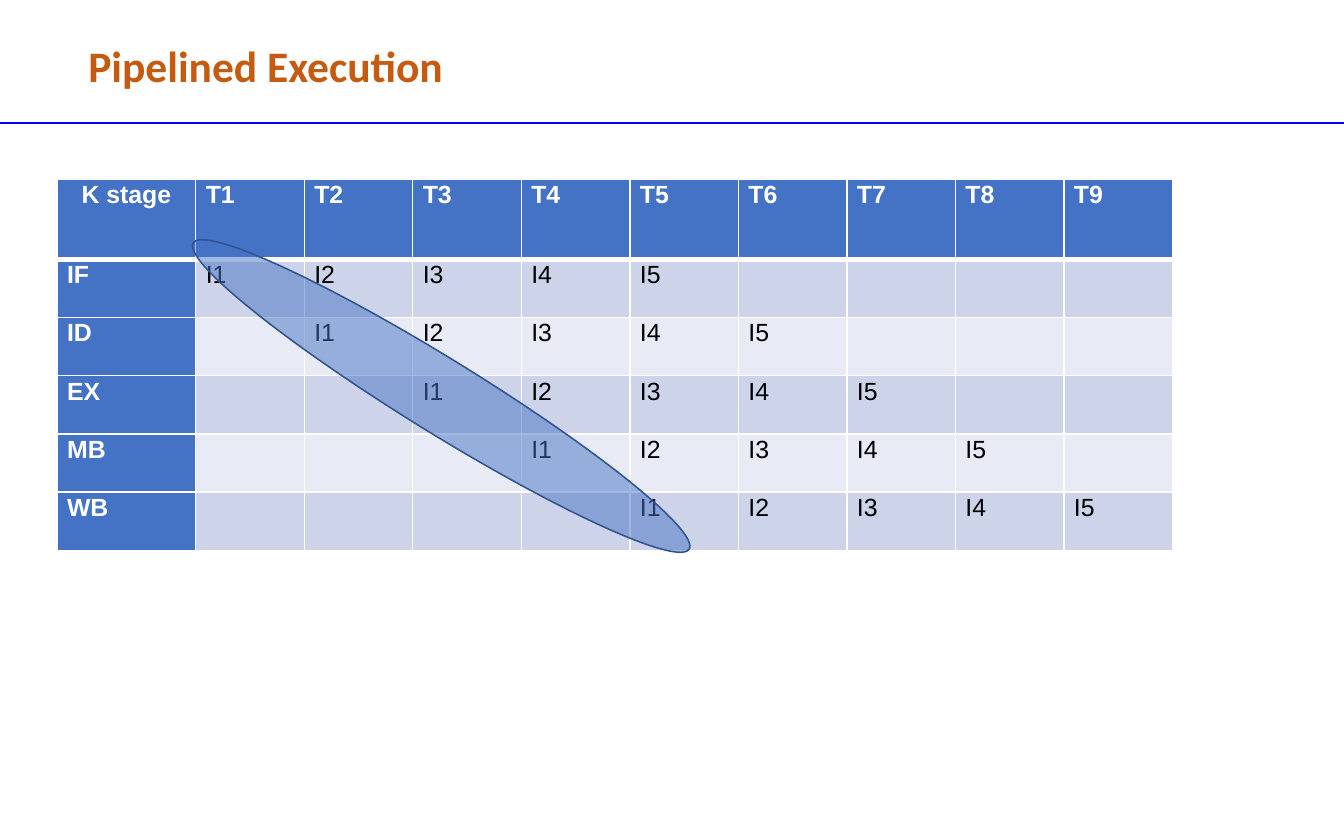
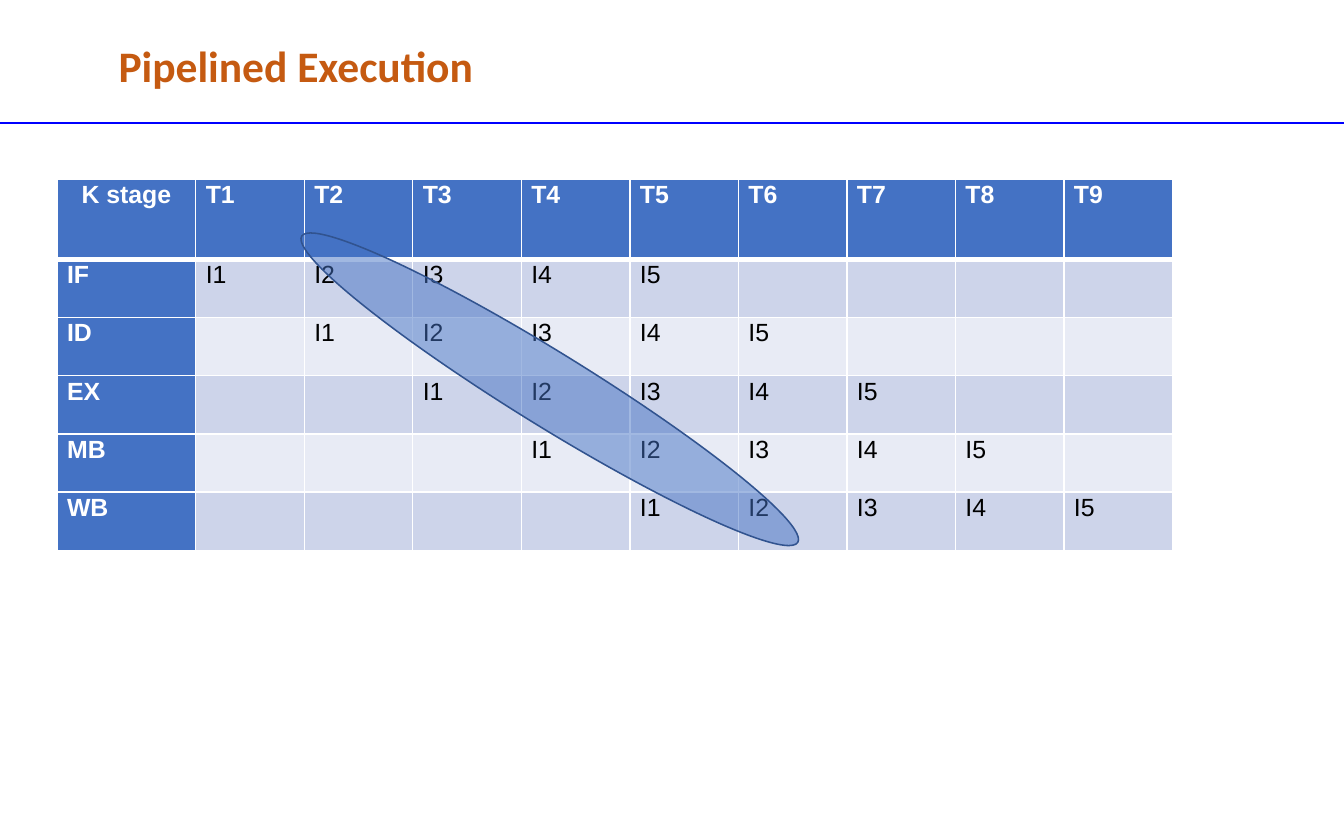
from dataclasses import dataclass

from lxml.etree import SubElement
from pptx import Presentation
from pptx.dml.color import RGBColor
from pptx.enum.shapes import MSO_CONNECTOR, MSO_SHAPE
from pptx.enum.text import MSO_ANCHOR, MSO_AUTO_SIZE, PP_ALIGN
from pptx.oxml.ns import qn
from pptx.util import Inches, Pt


@dataclass(frozen=True)
class Theme:
    title: str = "C55A11"
    rule: str = "0000FF"
    main: str = "4472C4"
    edge: str = "31538F"
    odd: str = "CDD4EA"
    even: str = "E8EBF5"
    white: str = "FFFFFF"
    black: str = "000000"
    head_font: str = "Calibri"
    cell_font: str = "Arial"
    head_size: int = 28
    cell_size: int = 16


THEME = Theme()
WIDTH, HEIGHT = 12.01, 7.5
LEFT, TOP = 0.51, 1.6
LABEL, COL = 1.24, 0.97
HEAD, ROW = 0.72, 0.52
STAGES = ["IF", "ID", "EX", "MB", "WB"]
TASKS = 5
TIMES = len(STAGES) + TASKS - 1


def style(font, face, size, color, bold):
    font.name = face
    font.size = Pt(size)
    font.bold = bold
    font.color.rgb = RGBColor.from_string(color)


def add_title(slide, text, left):
    title = slide.shapes.title
    title.left, title.top = Inches(left), Inches(0.04 * HEIGHT)
    title.width, title.height = Inches(0.34 * WIDTH), Inches(0.57)
    frame = title.text_frame
    frame.text = text
    frame.auto_size = MSO_AUTO_SIZE.NONE
    frame.vertical_anchor = MSO_ANCHOR.TOP
    para = frame.paragraphs[0]
    para.alignment = PP_ALIGN.LEFT
    style(para.runs[0].font, THEME.head_font, THEME.head_size, THEME.title, True)


def add_rule(slide):
    y = Inches(1.1)
    line = slide.shapes.add_connector(MSO_CONNECTOR.STRAIGHT, 0, y, Inches(WIDTH), y)
    line.line.color.rgb = RGBColor.from_string(THEME.rule)
    line.line.width = Pt(0.75)
    SubElement(line._element.spPr, qn("a:effectLst"))


def add_edge(cell, side, width):
    line = SubElement(cell._tc.get_or_add_tcPr(), qn(f"a:ln{side}"), w=str(Pt(width)))
    fill = SubElement(line, qn("a:solidFill"))
    SubElement(fill, qn("a:srgbClr"), val=THEME.white)


def fill_cell(cell, row, col, text):
    lead = row == 0 or col == 0
    thick = {(0, "B"), (1, "T")}
    for side in "LRTB":
        add_edge(cell, side, 3 if (row, side) in thick else 1)
    band = THEME.odd if row % 2 else THEME.even
    cell.fill.solid()
    cell.fill.fore_color.rgb = RGBColor.from_string(THEME.main if lead else band)
    cell.margin_left = cell.margin_right = Inches(0.09)
    cell.margin_top = cell.margin_bottom = 0
    if not text:
        return
    cell.text_frame.text = text
    para = cell.text_frame.paragraphs[0]
    para.line_spacing = 1.07
    if row == col == 0:
        para.alignment = PP_ALIGN.CENTER
    color = THEME.white if lead else THEME.black
    style(para.runs[0].font, THEME.cell_font, THEME.cell_size, color, lead)


def cell_text(row, col):
    if row == 0:
        return f"T{col}" if col else "K stage"
    if col == 0:
        return STAGES[row - 1]
    task = col - row + 1
    return f"I{task}" if 1 <= task <= TASKS else ""


def add_grid(slide):
    rows, cols = len(STAGES) + 1, TIMES + 1
    frame = slide.shapes.add_table(
        rows, cols, Inches(LEFT), Inches(TOP),
        Inches(LABEL + TIMES * COL), Inches(HEAD + len(STAGES) * ROW))
    table = frame.table
    for col in range(cols):
        table.columns[col].width = Inches(COL if col else LABEL)
    for row in range(rows):
        table.rows[row].height = Inches(ROW if row else HEAD)
        for col in range(cols):
            fill_cell(table.cell(row, col), row, col, cell_text(row, col))


def add_oval(slide, task, mid):
    wide, high = 5.21, 0.66
    left = LEFT + LABEL + (task + 1.26) * COL - wide / 2
    oval = slide.shapes.add_shape(
        MSO_SHAPE.OVAL, Inches(left), Inches(mid - high / 2), Inches(wide), Inches(high))
    oval.rotation = 31.7
    oval.shadow.inherit = False
    oval.fill.solid()
    oval.fill.fore_color.rgb = RGBColor.from_string(THEME.main)
    color = oval._element.spPr.find(qn("a:solidFill"))[0]
    SubElement(color, qn("a:alpha"), val="50000")
    oval.line.color.rgb = RGBColor.from_string(THEME.edge)
    oval.line.width = Pt(1)


def main():
    deck = Presentation()
    deck.slide_width, deck.slide_height = Inches(WIDTH), Inches(HEIGHT)
    for task, left, mid in [(1, 0.69, 3.54), (2, 0.96, 3.48)]:
        slide = deck.slides.add_slide(deck.slide_layouts[5])
        add_title(slide, "Pipelined Execution", left)
        add_rule(slide)
        add_grid(slide)
        add_oval(slide, task, mid)
    deck.save("out.pptx")


if __name__ == "__main__":
    main()
